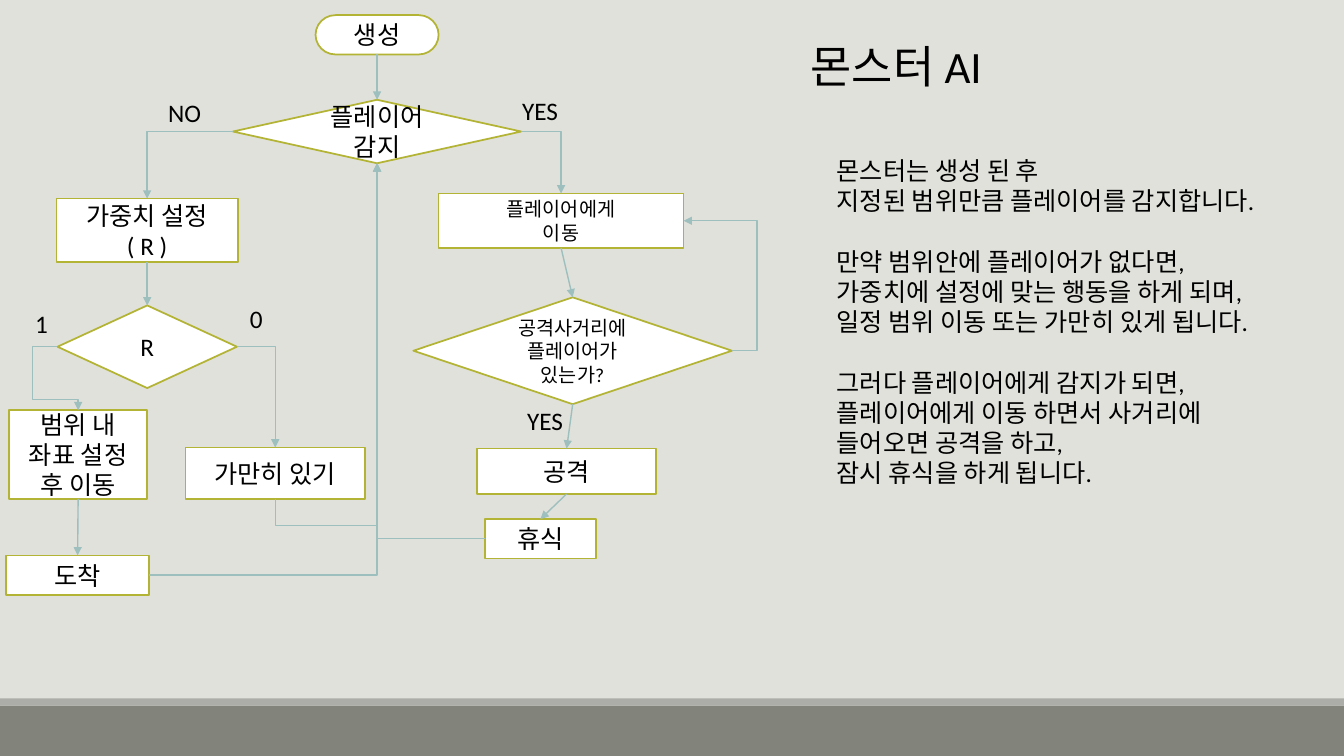
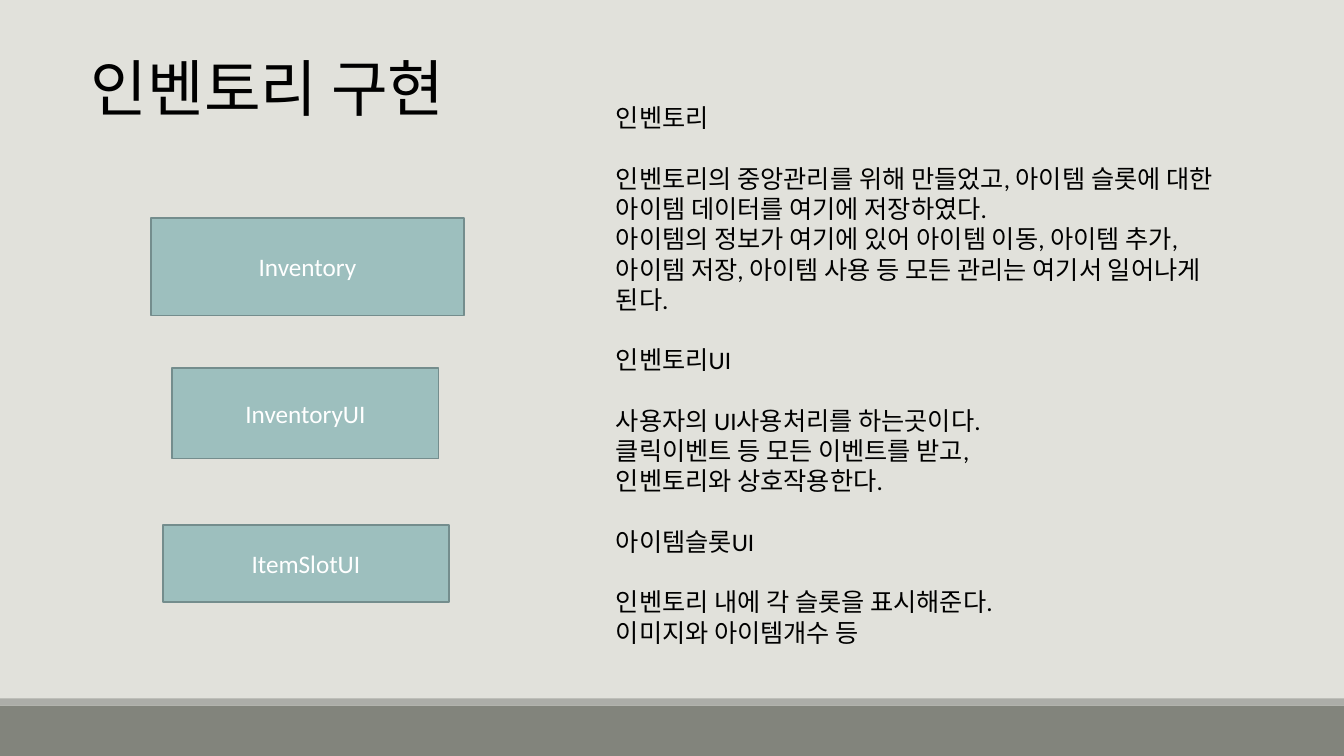
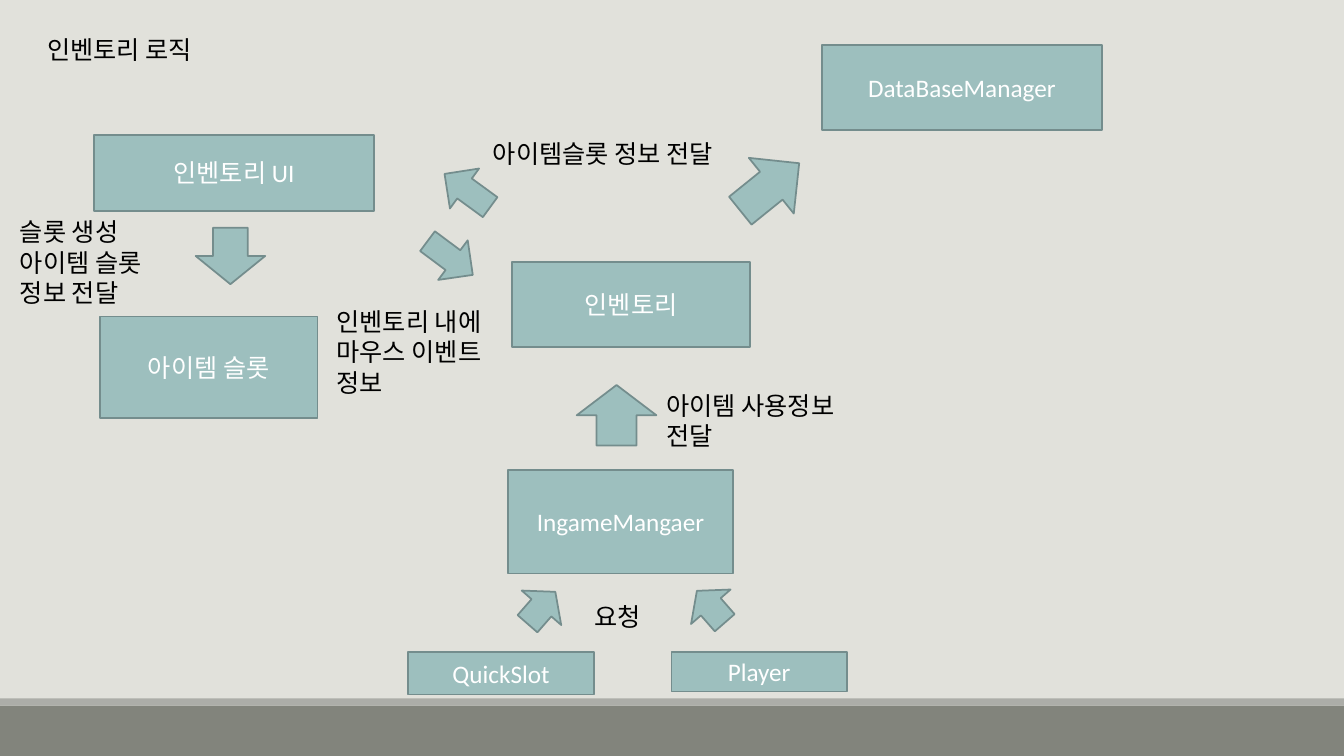
from lxml import etree
from pptx import Presentation
from pptx.dml.color import RGBColor
from pptx.enum.shapes import MSO_CONNECTOR as LINE, MSO_SHAPE as SHAPE
from pptx.enum.text import MSO_ANCHOR as ANCHOR, MSO_AUTO_SIZE as FIT, PP_ALIGN as ALIGN
from pptx.oxml.ns import qn
from pptx.util import Inches, Pt

TOP, LEFT, BOTTOM, RIGHT = range(4)


def rgb(code):
    """Turn a hex string into a colour."""
    return RGBColor.from_string(code)


class Deck:
    """Holds the shared style and the slide being built."""

    FONT = "Calibri"
    INK, WHITE, BACK = "000000", "FFFFFF", "E1E1DB"
    TEAL, TEAL_EDGE, OLIVE = "9DBFBE", "748D8D", "B3B435"
    BANDS = [("82847C", 7, 0.5), ("ACADA8", 6.93, 0.07)]
    BLANK_LINE = Pt(21.6)

    def __init__(self):
        """Start a wide presentation with the shared background."""
        self.prs = Presentation()
        self.prs.slide_width, self.prs.slide_height = Inches(13.33), Inches(7.5)
        fill = self.prs.slide_master.background.fill
        fill.solid()
        fill.fore_color.rgb = rgb(self.BACK)

    def slide(self, title, at, size):
        """Add a slide with its bands and title."""
        self.s = self.prs.slides.add_slide(self.prs.slide_layouts[5])
        for color, top, height in self.BANDS:
            self.shape(SHAPE.RECTANGLE, (0, top, 13.33, height), color)
        sp = self.s.shapes.title
        sp.left, sp.top, sp.width, sp.height = map(Inches, at)
        self.set_lines(sp.text_frame, [title], size, self.INK, ALIGN.LEFT, ANCHOR.TOP)

    def set_lines(self, tf, lines, size, color, align, anchor):
        """Fill a text frame, one paragraph for each line."""
        tf.word_wrap, tf.auto_size, tf.vertical_anchor = True, FIT.NONE, anchor
        for i, line in enumerate(lines):
            p = tf.add_paragraph() if i else tf.paragraphs[0]
            p.text, p.alignment = line, align
            for r in p.runs:
                r.font.name, r.font.size = self.FONT, Pt(size)
                r.font.color.rgb = rgb(color)

    def text(self, at, groups):
        """Add a text box whose groups of lines stand one line apart."""
        tf = self.s.shapes.add_textbox(*map(Inches, at)).text_frame
        lines = [line for group in groups for line in group]
        self.set_lines(tf, lines, 18, self.INK, ALIGN.LEFT, ANCHOR.TOP)
        first = 0
        for group in groups[:-1]:
            first += len(group)
            tf.paragraphs[first].space_before = self.BLANK_LINE

    def label(self, at, *lines):
        """Add a text box with one group of lines."""
        self.text(at, [lines])

    def shape(self, kind, at, fill, edge=None, rotation=0):
        """Add a preset shape with a flat fill."""
        sp = self.s.shapes.add_shape(kind, *map(Inches, at))
        sp.shadow.inherit = False
        sp.rotation = rotation
        sp.fill.solid()
        sp.fill.fore_color.rgb = rgb(fill)
        if edge:
            sp.line.color.rgb, sp.line.width = rgb(edge), Pt(1.25)
        else:
            sp.line.fill.background()
        return sp

    def step(self, kind, at, *lines, size=18):
        """Add a white flowchart step."""
        sp = self.shape(kind, at, self.WHITE, self.OLIVE)
        self.set_lines(sp.text_frame, lines, size, self.INK, ALIGN.CENTER, ANCHOR.MIDDLE)
        return sp

    def box(self, at, text, kind=SHAPE.FLOWCHART_PROCESS):
        """Add a teal box with white text."""
        sp = self.shape(kind, at, self.TEAL, self.TEAL_EDGE)
        self.set_lines(sp.text_frame, [text], 18, self.WHITE, ALIGN.CENTER, ANCHOR.MIDDLE)

    def arrow(self, kind, at, rotation=0):
        """Add a teal block arrow."""
        self.shape(kind, at, self.TEAL, self.TEAL_EDGE, rotation)

    def link(self, start, start_side, end, end_side, preset=None, adjust=(), upright=False):
        """Join two shapes with an arrow, bent when a preset is given."""
        c = self.s.shapes.add_connector(LINE.ELBOW if preset else LINE.STRAIGHT, 0, 0, 0, 0)
        c.begin_connect(start, start_side)
        c.end_connect(end, end_side)
        c.line.color.rgb, c.line.width = rgb(self.TEAL), Pt(1)
        pr = c._element.spPr
        etree.SubElement(c.line._get_or_add_ln(), qn("a:tailEnd"), type="triangle")
        etree.SubElement(pr, qn("a:effectLst"))
        if preset:
            geom = pr.find(qn("a:prstGeom"))
            geom.set("prst", preset)
            guides = geom.find(qn("a:avLst"))
            if guides is None:
                guides = etree.SubElement(geom, qn("a:avLst"))
            names = ["adj1", "adj2"] if len(adjust) > 1 else ["adj1"]
            for name, value in zip(names, adjust):
                etree.SubElement(guides, qn("a:gd"), name=name, fmla=f"val {round(value * 100000)}")
        if upright:
            self.turn(c)

    def turn(self, c):
        """Turn a connector so that it leaves its start vertically."""
        dx, dy = c.end_x - c.begin_x, c.end_y - c.begin_y
        mid_x, mid_y = c.begin_x + dx // 2, c.begin_y + dy // 2
        c.width, c.height = abs(dy), abs(dx)
        c.left, c.top = mid_x - abs(dy) // 2, mid_y - abs(dx) // 2
        xfrm = c._element.spPr.find(qn("a:xfrm"))
        xfrm.set("rot", "5400000")
        xfrm.set("flipH", str(int(dy < 0)))
        xfrm.set("flipV", str(int(dx > 0)))


def monster_ai(d):
    """Build the flowchart of the monster."""
    d.slide("몬스터 AI", (7.94, 0.33, 3.95, 0.64), 32)
    process, decision = SHAPE.FLOWCHART_PROCESS, SHAPE.FLOWCHART_DECISION
    create = d.step(SHAPE.FLOWCHART_TERMINATOR, (3.13, 0.15, 1.22, 0.39), "생성")
    detect = d.step(decision, (2.31, 0.99, 2.86, 0.63), "플레이어 감지")
    chase = d.step(process, (4.35, 1.92, 2.43, 0.54), "플레이어에게", "이동", size=14)
    in_range = d.step(decision, (4.1, 2.95, 3.16, 1.06), "공격사거리에 플레이어가 있는가?", size=14)
    attack = d.step(process, (4.73, 4.45, 1.78, 0.45), "공격")
    rest = d.step(process, (4.81, 5.15, 1.1, 0.39), "휴식")
    weight = d.step(process, (0.56, 1.97, 1.8, 0.63), "가중치 설정", "( R )")
    choice = d.step(decision, (0.57, 3.03, 1.78, 0.82), "R")
    wander = d.step(process, (0.09, 4.07, 1.37, 0.88), "범위 내", "좌표 설정 후 이동")
    idle = d.step(process, (1.84, 4.44, 1.78, 0.51), "가만히 있기")
    arrive = d.step(process, (0.06, 5.51, 1.42, 0.39), "도착")

    for start, end in [(create, detect), (chase, in_range), (in_range, attack),
                       (attack, rest), (weight, choice), (wander, arrive)]:
        d.link(start, BOTTOM, end, TOP)
    for start, start_side, end, end_side in [
            (detect, LEFT, weight, TOP), (detect, RIGHT, chase, TOP), (choice, RIGHT, idle, TOP),
            (arrive, RIGHT, detect, BOTTOM), (rest, LEFT, detect, BOTTOM)]:
        d.link(start, start_side, end, end_side, "bentConnector2")
    d.link(in_range, RIGHT, chase, RIGHT, "bentConnector3", [-0.52])
    d.link(choice, LEFT, wander, TOP, "bentConnector4", [-1.21, 0.83])
    d.link(idle, BOTTOM, detect, BOTTOM, "bentConnector3", [-0.08], upright=True)

    for at, answer in [((1.57, 0.92, 1.31, 0.4), "NO"), ((5.08, 0.9, 0.7, 0.4), "YES"),
                       ((5.13, 3.97, 0.7, 0.4), "YES"), ((2.38, 2.96, 0.64, 0.4), "0"),
                       ((0.25, 3.01, 0.55, 0.4), "1")]:
        d.label(at, answer)
    d.text((8.2, 1.49, 4.39, 4.34), [
        ["몬스터는 생성 된 후", "지정된 범위만큼 플레이어를 감지합니다."],
        ["만약 범위안에 플레이어가 없다면,",
         "가중치에 설정에 맞는 행동을 하게 되며, 일정 범위 이동 또는 가만히 있게 됩니다."],
        ["그러다 플레이어에게 감지가 되면,",
         "플레이어에게 이동 하면서 사거리에 들어오면 공격을 하고,", "잠시 휴식을 하게 됩니다."]])


def inventory_parts(d):
    """Build the slide that explains the inventory classes."""
    d.slide("인벤토리 구현", (0.8, 0.45, 4.69, 0.84), 44)
    d.box((1.5, 2.16, 3.1, 0.97), "Inventory")
    d.box((1.71, 3.65, 2.64, 0.9), "InventoryUI")
    d.box((1.62, 5.21, 2.83, 0.76), "ItemSlotUI")
    d.text((6.01, 0.97, 6.33, 5.55), [
        ["인벤토리"],
        ["인벤토리의 중앙관리를 위해 만들었고, 아이템 슬롯에 대한 아이템 데이터를 여기에 저장하였다.",
         "아이템의 정보가 여기에 있어 아이템 이동, 아이템 추가, 아이템 저장, 아이템 사용 등 "
         "모든 관리는 여기서 일어나게 된다."],
        ["인벤토리UI"],
        ["사용자의 UI사용처리를 하는곳이다.", "클릭이벤트 등 모든 이벤트를 받고,",
         "인벤토리와 상호작용한다."],
        ["아이템슬롯UI"],
        ["인벤토리 내에 각 슬롯을 표시해준다.", "이미지와 아이템개수 등"]])


def inventory_logic(d):
    """Build the diagram of how the inventory classes talk."""
    d.slide("인벤토리 로직", (0.37, 0.29, 2.78, 0.4), 18)
    d.box((0.93, 1.34, 2.78, 0.75), "인벤토리 UI")
    d.box((5.08, 2.6, 2.36, 0.84), "인벤토리")
    for at, name in [((0.99, 3.14, 2.16, 1.01), "아이템 슬롯"),
                     ((5.04, 4.66, 2.23, 1.03), "IngameMangaer"),
                     ((6.66, 6.47, 1.74, 0.39), "Player"),
                     ((4.05, 6.47, 1.84, 0.42), "QuickSlot"),
                     ((8.15, 0.45, 2.78, 0.84), "DataBaseManager")]:
        d.box(at, name, SHAPE.RECTANGLE)
    for kind, at, rotation in [
            (SHAPE.DOWN_ARROW, (1.94, 2.26, 0.69, 0.56), 0),
            (SHAPE.DOWN_ARROW, (4.22, 2.28, 0.49, 0.56), 306.7),
            (SHAPE.DOWN_ARROW, (4.39, 1.61, 0.49, 0.56), 126.1),
            (SHAPE.UP_ARROW, (5.72, 3.82, 0.79, 0.6), 0),
            (SHAPE.UP_ARROW, (5.11, 5.82, 0.52, 0.42), 41.1),
            (SHAPE.UP_ARROW, (6.79, 5.81, 0.52, 0.42), 318.9),
            (SHAPE.RIGHT_ARROW, (7.26, 1.5, 0.75, 0.71), 321.1)]:
        d.arrow(kind, at, rotation)
    d.label((0.1, 2.1, 1.84, 1.01), "슬롯 생성", "아이템 슬롯 정보 전달")
    d.label((4.79, 1.32, 2.67, 0.4), "아이템슬롯 정보 전달")
    d.label((3.24, 2.99, 1.84, 1.01), "인벤토리 내에 마우스 이벤트 정보")
    d.label((6.51, 3.82, 2.23, 0.71), "아이템 사용정보 전달")
    d.label((5.8, 5.92, 0.87, 0.4), "요청")


def main():
    """Build the slides and save them."""
    d = Deck()
    for build in (monster_ai, inventory_parts, inventory_logic):
        build(d)
    d.prs.save("out.pptx")


if __name__ == "__main__":
    main()
